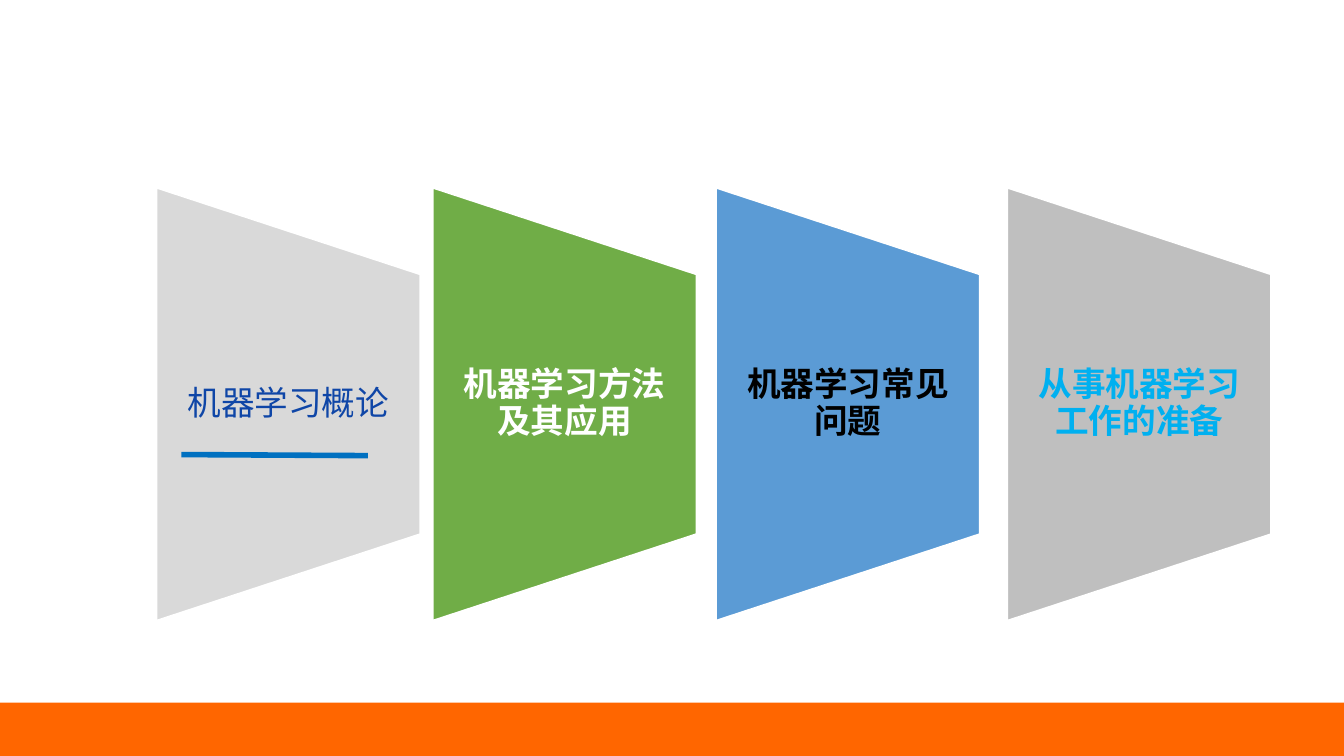
from dataclasses import dataclass

from lxml import etree
from pptx import Presentation, util as u
from pptx.dml.color import RGBColor
from pptx.enum import shapes, text
from pptx.oxml.ns import qn


@dataclass(frozen=True)
class Theme:
    font: str = "Noto Sans CJK SC"
    label_size: float = 24
    space_after: float = 8.4
    outline_width: float = 1.5
    underline_width: float = 4
    outline: str = "FFFFFF"
    underline: str = "0070C0"
    band: str = "FF6600"


@dataclass(frozen=True)
class Panel:
    left: float  # percent of the slide's width
    label: str
    fill: str
    color: str
    bold: bool = True


THEME = Theme()
SLIDE_WIDTH, SLIDE_HEIGHT = u.Inches(13.33), u.Inches(7.5)

# Shares of the slide's size, in percent
PANEL_TOP, PANEL_WIDTH, PANEL_HEIGHT = 24.8, 19.65, 57.33
LABEL_HEIGHT = 34.4
BAND_TOP = 92.93
UNDERLINE_START, UNDERLINE_END = (13.5, 60.13), (27.38, 60.27)

PANELS = [
    Panel(11.63, "机器学习概论", "D9D9D9", "0F46A7", bold=False),
    Panel(32.18, "机器学习方法及其应用", "70AD47", "FFFFFF"),
    Panel(53.26, "机器学习常见问题", "5B9BD5", "000000"),
    Panel(74.94, "从事机器学习工作的准备", "BFBFBF", "00B0F0"),
]


def across(percent: float) -> int:
    return round(SLIDE_WIDTH * percent / 100)


def down(percent: float) -> int:
    return round(SLIDE_HEIGHT * percent / 100)


def add_filled_shape(slide, kind, left: int, top: int, width: int, height: int,
                     fill: str, outline: str | None = None):
    shape = slide.shapes.add_shape(kind, left, top, width, height)
    shape.shadow.inherit = False
    shape.fill.solid()
    shape.fill.fore_color.rgb = RGBColor.from_string(fill)
    if outline:
        shape.line.color.rgb = RGBColor.from_string(outline)
        shape.line.width = u.Pt(THEME.outline_width)
    else:
        shape.line.fill.background()
    return shape


def add_text(slide, content: str, left: int, top: int, width: int, height: int,
             *, color: str, bold: bool) -> None:
    frame = slide.shapes.add_textbox(left, top, width, height).text_frame
    frame.word_wrap = True
    frame.vertical_anchor = text.MSO_ANCHOR.MIDDLE
    frame.margin_left = frame.margin_right = u.Inches(0.17)
    frame.margin_top = frame.margin_bottom = 0
    paragraph = frame.paragraphs[0]
    paragraph.alignment = text.PP_ALIGN.CENTER
    paragraph.line_spacing = 0.9
    paragraph.space_after = u.Pt(THEME.space_after)
    run = paragraph.add_run()
    run.text = content
    run.font.size = u.Pt(THEME.label_size)
    run.font.bold = bold
    run.font.color.rgb = RGBColor.from_string(color)
    run.font.name = THEME.font
    # East Asian characters take their own typeface element
    properties = run._r.get_or_add_rPr()
    etree.SubElement(properties, qn("a:ea")).set("typeface", THEME.font)


def add_panel(slide, panel: Panel) -> None:
    left, width = across(panel.left), across(PANEL_WIDTH)
    top, height = down(PANEL_TOP), down(PANEL_HEIGHT)
    # The shape lies on its side: its frame swaps width and height about the centre
    shift = (height - width) // 2
    shape = add_filled_shape(slide, shapes.MSO_SHAPE.FLOWCHART_MANUAL_OPERATION,
                             left - shift, top + shift, height, width,
                             panel.fill, THEME.outline)
    shape.rotation = 270
    label_height = down(LABEL_HEIGHT)
    add_text(slide, panel.label, left, top + (height - label_height) // 2,
             width, label_height, color=panel.color, bold=panel.bold)


def add_underline(slide) -> None:
    (x1, y1), (x2, y2) = UNDERLINE_START, UNDERLINE_END
    line = slide.shapes.add_connector(shapes.MSO_CONNECTOR.STRAIGHT,
                                      across(x1), down(y1), across(x2), down(y2))
    line.line.color.rgb = RGBColor.from_string(THEME.underline)
    line.line.width = u.Pt(THEME.underline_width)
    etree.SubElement(line._element.spPr, qn("a:effectLst"))


def main() -> None:
    presentation = Presentation()
    presentation.slide_width, presentation.slide_height = SLIDE_WIDTH, SLIDE_HEIGHT
    slide = presentation.slides.add_slide(presentation.slide_layouts[6])

    # Chapter panels
    for panel in PANELS:
        add_panel(slide, panel)

    # Bottom band
    add_filled_shape(slide, shapes.MSO_SHAPE.RECTANGLE, 0, down(BAND_TOP),
                     SLIDE_WIDTH, SLIDE_HEIGHT - down(BAND_TOP), THEME.band)

    # Mark under the current chapter
    add_underline(slide)

    presentation.save("out.pptx")


if __name__ == "__main__":
    main()
